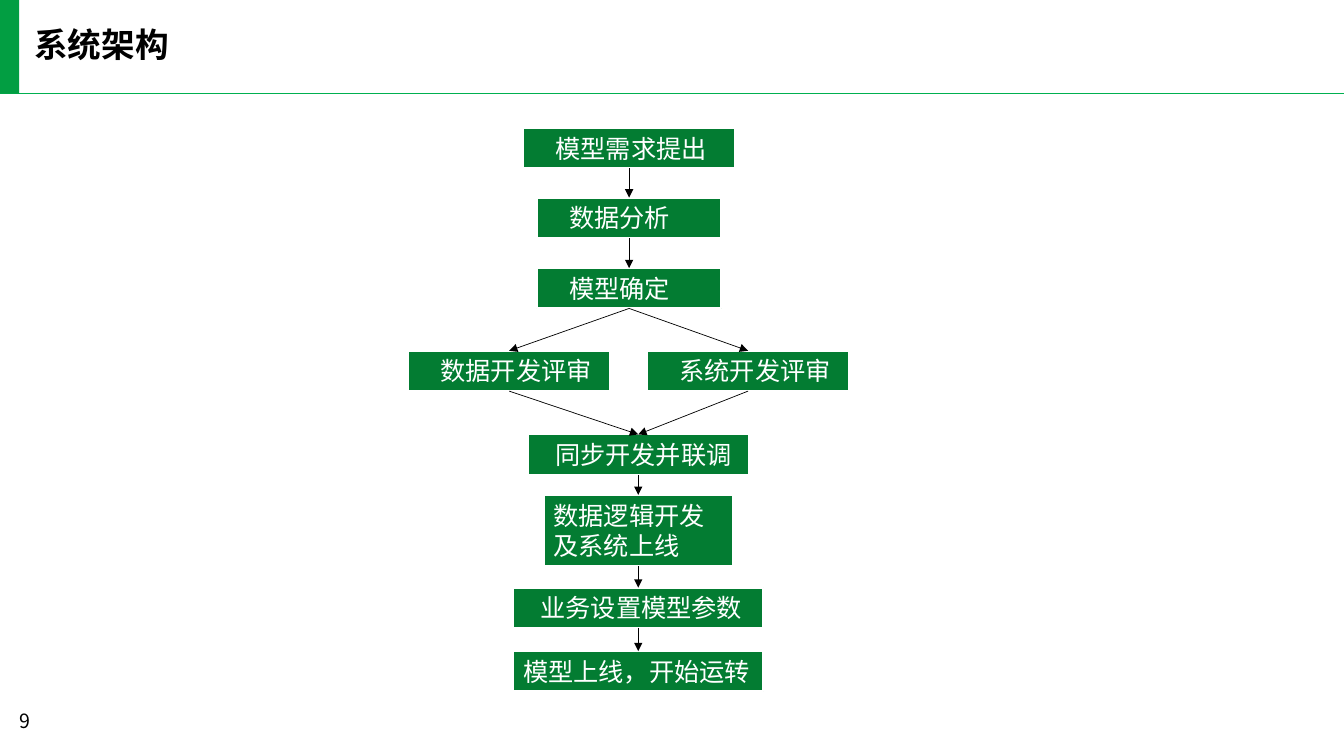
from lxml import etree
from pptx import Presentation
from pptx.dml.color import RGBColor
from pptx.enum import shapes, text
from pptx.oxml import ns
from pptx.util import Inches, Pt

TITLE = "系统架构"
PAGE_NUMBER = "9"

UPPER_AXIS, LOWER_AXIS = 6.24, 6.33
LEFT_BRANCH, RIGHT_BRANCH = 5.05, 7.42
WIDE_INDENT, NARROW_INDENT = 0.22, 0.17

# key: (label, centre x, top, width, height, text indent)
STEPS = {
    "request": ("模型需求提出", UPPER_AXIS, 1.27, 2.1, 0.4, WIDE_INDENT),
    "analysis": ("数据分析", UPPER_AXIS, 1.96, 1.83, 0.4, WIDE_INDENT),
    "model": ("模型确定", UPPER_AXIS, 2.66, 1.83, 0.4, WIDE_INDENT),
    "data_review": ("数据开发评审", LEFT_BRANCH, 3.48, 2, 0.4, WIDE_INDENT),
    "system_review": ("系统开发评审", RIGHT_BRANCH, 3.48, 2, 0.4, WIDE_INDENT),
    "integration": ("同步开发并联调", LOWER_AXIS, 4.31, 2.19, 0.4, NARROW_INDENT),
    "release": ("数据逻辑开发及系统上线", LOWER_AXIS, 4.91, 1.88, 0.71, 0),
    "parameters": ("业务设置模型参数", LOWER_AXIS, 5.83, 2.48, 0.4, NARROW_INDENT),
    "running": ("模型上线，开始运转", LOWER_AXIS, 6.46, 2.48, 0.4, 0),
}

FLOWS = [
    ("request", "analysis"),
    ("analysis", "model"),
    ("model", "data_review"),
    ("model", "system_review"),
    ("data_review", "integration"),
    ("system_review", "integration"),
    ("integration", "release"),
    ("release", "parameters"),
    ("parameters", "running"),
]

THEME = {
    "font": "Noto Sans CJK SC",
    "black": RGBColor.from_string("000000"),
    "white": RGBColor.from_string("FFFFFF"),
    "accent": RGBColor.from_string("029E42"),
    "rule": RGBColor.from_string("00B050"),
    "step": RGBColor.from_string("037C32"),
    "title_size": Pt(24),
    "step_size": Pt(18),
    "number_size": Pt(14),
}
TOP_SITE, BOTTOM_SITE = 0, 2


def write(frame, words, size, color, bold=False):
    """Put one left-aligned run in the frame, in the theme font for all scripts."""
    paragraph = frame.paragraphs[0]
    paragraph.alignment = text.PP_ALIGN.LEFT
    run = paragraph.add_run()
    run.text = words
    run.font.name = THEME["font"]
    run.font.size = size
    run.font.bold = bold
    run.font.color.rgb = color
    east_asian = etree.SubElement(run.font._element, ns.qn("a:ea"))
    east_asian.set("typeface", THEME["font"])
    return paragraph


def add_line(slide, color, width, start=(0, 0), end=(0, 0)):
    line = slide.shapes.add_connector(
        shapes.MSO_CONNECTOR.STRAIGHT, *map(Inches, start + end))
    line.line.color.rgb = color
    line.line.width = Pt(width)
    etree.SubElement(line._element.spPr, ns.qn("a:effectLst"))
    return line


def add_rectangle(slide, left, top, width, height, fill):
    rectangle = slide.shapes.add_shape(
        shapes.MSO_SHAPE.RECTANGLE, *map(Inches, (left, top, width, height)))
    rectangle.shadow.inherit = False
    rectangle.fill.solid()
    rectangle.fill.fore_color.rgb = fill
    rectangle.line.fill.background()
    return rectangle


def add_header(slide):
    add_line(slide, THEME["rule"], 1, (0, 0.93), (13.33, 0.93))
    add_rectangle(slide, 0, -0.01, 0.19, 0.94, THEME["accent"])
    title = slide.shapes.title
    title.left, title.top, title.width, title.height = map(
        Inches, (0.34, 0.28, 6.29, 0.36))
    frame = title.text_frame
    frame.margin_left = frame.margin_right = 0
    frame.margin_top = frame.margin_bottom = 0
    frame.vertical_anchor = text.MSO_ANCHOR.MIDDLE
    paragraph = write(frame, TITLE, THEME["title_size"], THEME["black"], bold=True)
    paragraph.line_spacing = 0.9


def add_page_number(slide):
    box = slide.shapes.add_textbox(*map(Inches, (0.09, 6.95, 0.91, 0.4)))
    box.text_frame.word_wrap = True
    box.text_frame.vertical_anchor = text.MSO_ANCHOR.MIDDLE
    write(box.text_frame, PAGE_NUMBER, THEME["number_size"], THEME["black"])


def add_step(slide, label, center, top, width, height, indent):
    step = add_rectangle(slide, center - width / 2, top, width, height, THEME["step"])
    step.line.color.rgb = THEME["white"]
    step.line.width = Pt(1.5)
    frame = step.text_frame
    frame.word_wrap = True
    frame.vertical_anchor = text.MSO_ANCHOR.MIDDLE
    frame.margin_left = Inches(0.1 + indent)
    write(frame, label, THEME["step_size"], THEME["white"])
    return step


def add_arrow(slide, source, target):
    arrow = add_line(slide, THEME["black"], 0.5)
    arrow.begin_connect(source, BOTTOM_SITE)
    arrow.end_connect(target, TOP_SITE)
    head = etree.SubElement(arrow.line._get_or_add_ln(), ns.qn("a:tailEnd"))
    head.set("type", "triangle")


def main():
    presentation = Presentation()
    presentation.slide_width = Inches(13.33)
    presentation.slide_height = Inches(7.5)
    slide = presentation.slides.add_slide(presentation.slide_layouts[5])
    add_header(slide)
    add_page_number(slide)
    steps = {key: add_step(slide, *step) for key, step in STEPS.items()}
    for source, target in FLOWS:
        add_arrow(slide, steps[source], steps[target])
    presentation.save("out.pptx")


if __name__ == "__main__":
    main()
